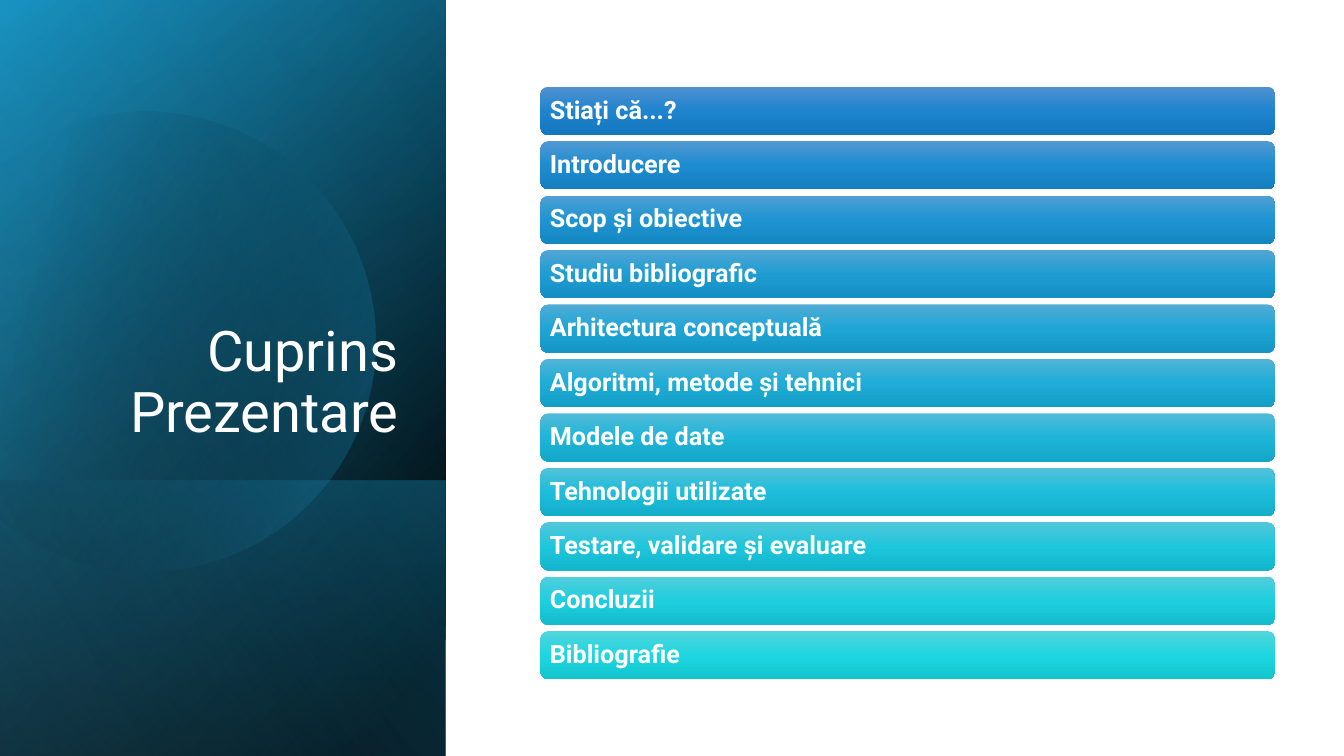
import math
import lxml.etree
import pptx
import pptx.dml.color
import pptx.enum.shapes
import pptx.enum.text
import pptx.oxml
import pptx.oxml.ns
import pptx.util

Inches = pptx.util.Inches
Pt = pptx.util.Pt
qn = pptx.oxml.ns.qn
KINDS = pptx.enum.shapes.MSO_SHAPE
ANCHOR = pptx.enum.text.MSO_ANCHOR
ALIGN = pptx.enum.text.PP_ALIGN

TOPICS = [
    "Stiați că...?", "Introducere", "Scop și obiective", "Studiu bibliografic",
    "Arhitectura conceptuală", "Algoritmi, metode și tehnici", "Modele de date",
    "Tehnologii utilizate", "Testare, validare și evaluare", "Concluzii",
    "Bibliografie",
]
FIRST = ["5191D0", "1E84CE", "1477BE"]
LAST = ["52D5DD", "1ED6E0", "13C5CF"]


def color(code):
    return pptx.dml.color.RGBColor.from_string(code)


def blend(start, end, part):
    pairs = zip(bytes.fromhex(start), bytes.fromhex(end))
    return "".join(f"{round(a + (b - a) * part):02X}" for a, b in pairs)


def shade(shape, stops, angle):
    shape.shadow.inherit = False
    shape.line.fill.background()
    shape.fill.background()
    grad = lxml.etree.Element(qn("a:gradFill"), rotWithShape="1")
    items = lxml.etree.SubElement(grad, qn("a:gsLst"))
    for place, code, alpha in stops:
        stop = lxml.etree.SubElement(items, qn("a:gs"), pos=str(place * 1000))
        tint = lxml.etree.SubElement(stop, qn("a:srgbClr"), val=code)
        if alpha < 100:
            lxml.etree.SubElement(tint, qn("a:alpha"), val=str(alpha * 1000))
    lxml.etree.SubElement(grad, qn("a:lin"), ang=str(angle * 60000), scaled="0")
    props = shape._element.spPr
    props.replace(props.find(qn("a:noFill")), grad)


def style(part, size, bold=False):
    part.line_spacing = 0.9
    for run in part.runs:
        run.font.name = "Roboto"
        run.font.size = Pt(size)
        run.font.bold = bold
        run.font.color.rgb = color("FFFFFF")


def panel(slide, left, top, width, height, stops, angle):
    shape = slide.shapes.add_shape(
        KINDS.RECTANGLE,
        Inches(left + (width - height) / 2), Inches(top + (height - width) / 2),
        Inches(height), Inches(width))
    shape.rotation = 90
    shape._element.spPr.xfrm.set("flipH", "1")
    shade(shape, stops, angle)


def disc(slide, x, y, radius):
    def spot(turn, lean=0):
        turn = math.radians(turn)
        return (Inches(x + radius * (math.cos(turn) - lean * math.sin(turn))),
                Inches(y + radius * (math.sin(turn) + lean * math.cos(turn))))

    turns = [-118, -90, 0, 90, 150]
    outline = slide.shapes.build_freeform(*spot(turns[0]))
    outline.add_line_segments([spot(turn) for turn in turns[1:]], close=True)
    shape = outline.convert_to_shape()
    lines = list(shape._element.iter(qn("a:lnTo")))
    for line, start, end in zip(lines, turns, turns[1:]):
        lean = 4 / 3 * math.tan(math.radians(end - start) / 4)
        curve = lxml.etree.Element(qn("a:cubicBezTo"))
        for across, down in (spot(start, lean), spot(end, -lean), spot(end)):
            lxml.etree.SubElement(curve, qn("a:pt"), x=str(across - shape.left),
                                  y=str(down - shape.top))
        line.getparent().replace(line, curve)
    shape.rotation = 343.9
    shade(shape, [(29, "000000", 0), (100, "1CADE4", 43)], 30)


def side(slide, left, top, width, height):
    low = 2.74
    panel(slide, left, top, width, height,
          [(8, "000000", 100), (100, "1482AC", 100)], 50)
    panel(slide, left, top, width, height,
          [(0, "000000", 0), (99, "1CADE4", 46)], 30)
    panel(slide, left, top + height - low + 0.01, width, low,
          [(2, "1CADE4", 29), (100, "000000", 30)], 130)
    disc(slide, left + 1.44, top + 3.35, 2.28)
    panel(slide, left, top, width, height,
          [(0, "000000", 0), (99, "77CEEF", 11)], 120)
    title = slide.shapes.title
    title._element.getparent().append(title._element)
    title.left, title.top = Inches(left + 0.64), Inches(top + 1.84)
    title.width, title.height = Inches(3.41), Inches(2.62)
    frame = title.text_frame
    frame.text = "Cuprins Prezentare"
    frame.word_wrap = True
    frame.vertical_anchor = ANCHOR.BOTTOM
    frame.paragraphs[0].alignment = ALIGN.RIGHT
    style(frame.paragraphs[0], 40)


def agenda(slide, left, top, width, height):
    gap = 0.06
    tall = (height + gap) / len(TOPICS) - gap
    for index, topic in enumerate(TOPICS):
        bar = slide.shapes.add_shape(
            KINDS.ROUNDED_RECTANGLE,
            Inches(left), Inches(top + index * (tall + gap)),
            Inches(width), Inches(tall))
        part = index / (len(TOPICS) - 1)
        tones = [blend(start, end, part) for start, end in zip(FIRST, LAST)]
        shade(bar, [(place, tone, 100) for place, tone in zip((0, 50, 100), tones)], 90)
        frame = bar.text_frame
        frame.text = topic
        frame.word_wrap = True
        frame.vertical_anchor = ANCHOR.MIDDLE
        frame.margin_left = frame.margin_right = Inches(0.07)
        frame.margin_top = frame.margin_bottom = Inches(0.07)
        frame.paragraphs[0].alignment = ALIGN.LEFT
        style(frame.paragraphs[0], 18, True)


def main():
    deck = pptx.Presentation()
    deck.slide_width, deck.slide_height = Inches(13.33), Inches(7.5)
    slide = deck.slides.add_slide(deck.slide_layouts[5])
    side(slide, 0, 0, 4.42, 7.5)
    agenda(slide, 5.36, 0.86, 7.29, 5.88)
    deck.save("out.pptx")


if __name__ == "__main__":
    main()
